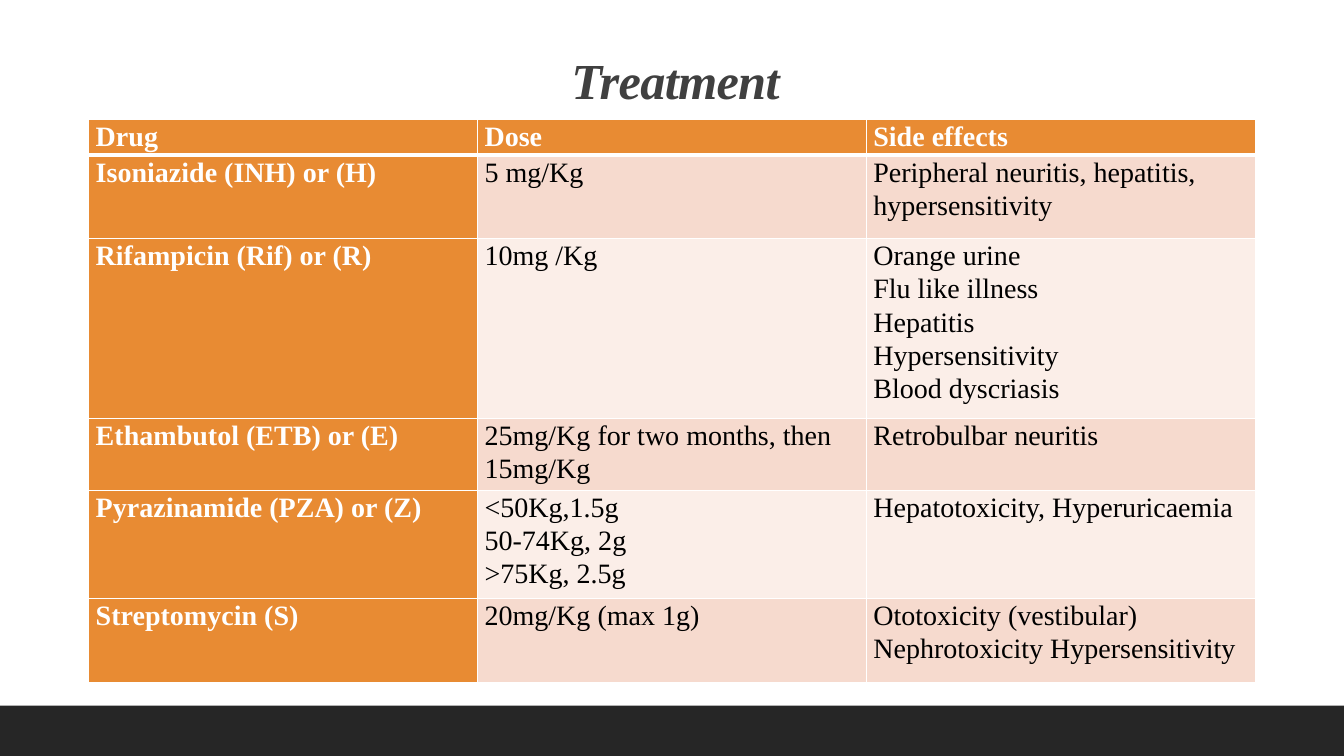
from pptx import Presentation, util as u
from pptx.dml.color import RGBColor
from pptx.enum import shapes, text
from pptx.oxml import parse_xml
from pptx.oxml.ns import nsdecls

COLORS = {"white": "FFFFFF", "black": "000000", "title": "404040", "footer": "262626",
          "orange": "E88B33", "odd": "F6DACE", "even": "FBEEE8"}
FONT = "Times New Roman"
ROW_HEIGHTS = [0.33, 0.83, 1.65, 0.66, 0.99, 0.84]
ROWS = [
    ("Drug", "Dose", "Side effects"),
    ("Isoniazide (INH) or (H)", "5 mg/Kg", "Peripheral neuritis, hepatitis, hypersensitivity"),
    ("Rifampicin (Rif) or (R)", "10mg /Kg",
     "Orange urine\nFlu like illness\nHepatitis\nHypersensitivity\nBlood dyscriasis"),
    ("Ethambutol (ETB) or (E)", "25mg/Kg for two months, then 15mg/Kg", "Retrobulbar neuritis"),
    ("Pyrazinamide (PZA) or (Z)", "<50Kg,1.5g\n50-74Kg, 2g\n>75Kg, 2.5g",
     "Hepatotoxicity, Hyperuricaemia"),
    ("Streptomycin (S)", "20mg/Kg (max 1g)",
     "Ototoxicity (vestibular) Nephrotoxicity Hypersensitivity"),
]


def rgb(name):
    """Return the named colour."""
    return RGBColor.from_string(COLORS[name])


def add_run(p, words, size, color, bold, italic=False):
    """Add a styled run to a paragraph and return it."""
    r = p.add_run()
    r.text = words
    r.font.name, r.font.size = FONT, u.Pt(size)
    r.font.bold, r.font.italic = bold, italic
    r.font.color.rgb = rgb(color)
    return r


def add_footer(s, x, y, w, h):
    """Draw the dark band along the bottom."""
    sp = s.shapes.add_shape(shapes.MSO_SHAPE.RECTANGLE, *map(u.Inches, (x, y, w, h)))
    sp.shadow.inherit = False
    sp.fill.solid()
    sp.fill.fore_color.rgb = rgb("footer")
    sp.line.fill.background()


def add_title(s, x, y, w, h):
    """Place the centred slide title."""
    tf = s.shapes.add_textbox(*map(u.Inches, (x, y, w, h))).text_frame
    tf.word_wrap = True
    tf.vertical_anchor = text.MSO_ANCHOR.BOTTOM
    tf.margin_bottom = u.Inches(0.8)
    p = tf.paragraphs[0]
    p.alignment = text.PP_ALIGN.CENTER
    p.line_spacing = 0.9
    r = add_run(p, "Treatment", 36, "title", True, True)
    r.font._element.set("spc", "-50")


def set_borders(cell, top, bottom):
    """Give a cell white borders, with the top and bottom widths in points."""
    tc_pr = cell._tc.get_or_add_tcPr()
    for side, width in (("L", 1), ("R", 1), ("T", top), ("B", bottom)):
        tc_pr.append(parse_xml(
            f'<a:ln{side} {nsdecls("a")} w="{u.Pt(width)}"><a:solidFill>'
            f'<a:srgbClr val="{COLORS["white"]}"/></a:solidFill></a:ln{side}>'))


def fill_cell(cell, words, row, col):
    """Style one table cell and write its paragraphs."""
    strong = row == 0 or col == 0
    set_borders(cell, 3 if row == 1 else 1, 3 if row == 0 else 1)
    cell.fill.solid()
    cell.fill.fore_color.rgb = rgb("orange" if strong else "odd" if row % 2 else "even")
    cell.margin_left = cell.margin_right = u.Inches(0.07)
    cell.margin_top = cell.margin_bottom = 0
    tf = cell.text_frame
    for i, line in enumerate(words.split("\n")):
        p = tf.add_paragraph() if i else tf.paragraphs[0]
        p.line_spacing = 1.07
        add_run(p, line, 20, "white" if strong else "black", strong)


def add_drug_table(s, x, y, w):
    """Build the table of drugs, doses and side effects."""
    box = map(u.Inches, (x, y, w, sum(ROW_HEIGHTS)))
    table = s.shapes.add_table(len(ROWS), len(ROWS[0]), *box).table
    for row, (height, entries) in enumerate(zip(ROW_HEIGHTS, ROWS)):
        table.rows[row].height = u.Inches(height)
        for col, words in enumerate(entries):
            fill_cell(table.cell(row, col), words, row, col)


def main():
    """Build and save the slide."""
    prs = Presentation()
    prs.slide_width, prs.slide_height = u.Inches(13.33), u.Inches(7.5)
    s = prs.slides.add_slide(prs.slide_layouts[6])
    add_footer(s, 0, 7, 13.33, 0.5)
    add_title(s, 1.2, 0.31, 11, 1.59)
    add_drug_table(s, 0.88, 1.18, 11.57)
    prs.save("out.pptx")


if __name__ == "__main__":
    main()
